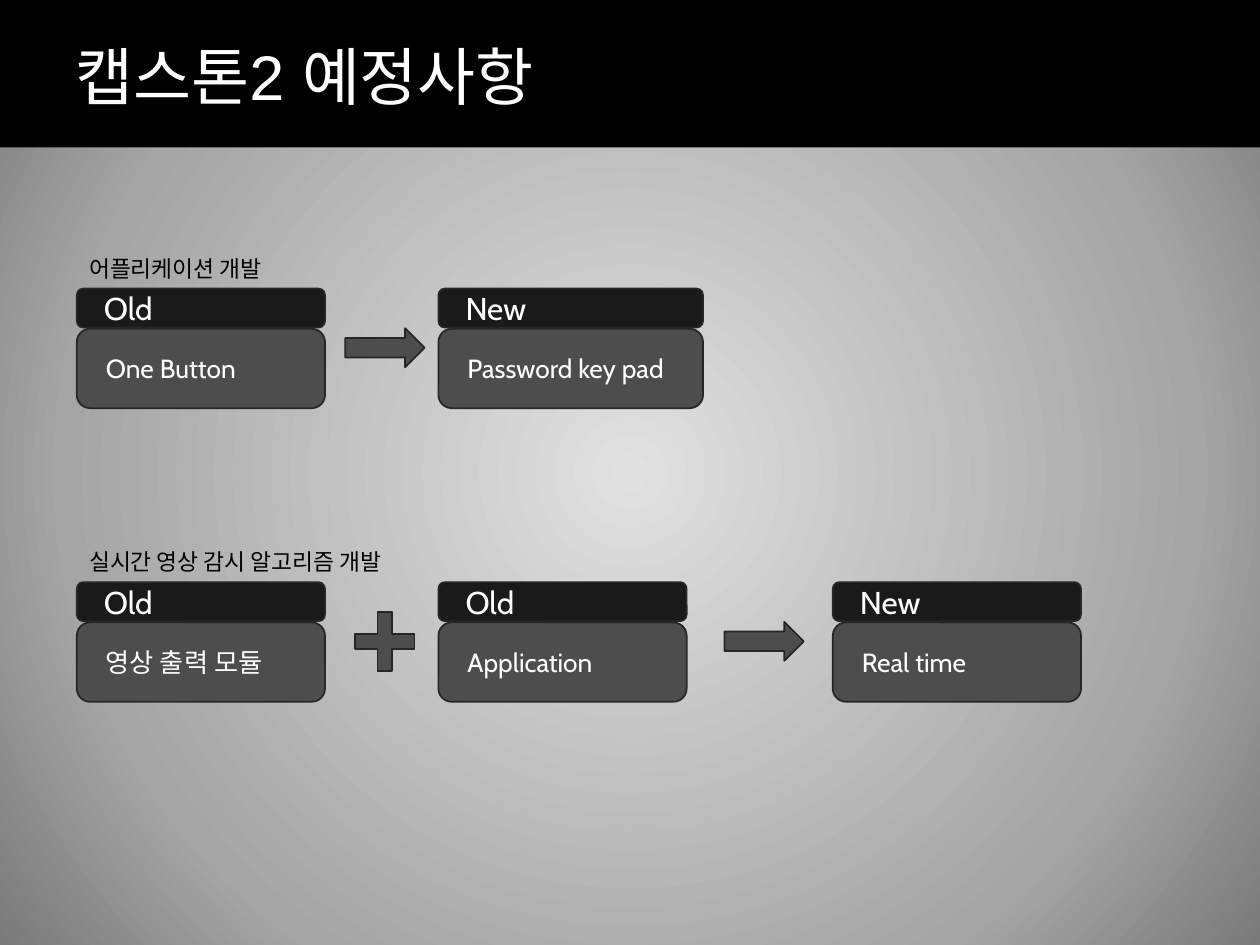
from typing import NamedTuple

from lxml.etree import SubElement
from pptx import Presentation
from pptx.dml.color import RGBColor
from pptx.enum.shapes import MSO_SHAPE as Shape
from pptx.enum.text import MSO_ANCHOR as Anchor, PP_ALIGN as Align
from pptx.oxml import parse_xml
from pptx.oxml.ns import nsdecls, qn
from pptx.util import Inches, Pt

COLORS = {
    "black": "000000",
    "white": "FFFFFF",
    "head": "1A1A1A",
    "body": "4D4D4D",
    "edge": "262626",
}
GLOW = [(0, "E1E1E1"), (72, "A5A5A5"), (100, "7A7A7A")]
KOREAN = "Noto Sans CJK KR"
LEFT = 0.61
HEAD_H, BODY_H = 0.31, 0.63
CAPTION_H = 0.32


class Card(NamedTuple):
    x: float
    head: str
    body: str
    w: float = 1.97


class Sign(NamedTuple):
    kind: Shape
    x: float
    w: float
    h: float


class Row(NamedTuple):
    y: float
    caption: str
    cards: list[Card]
    signs: list[Sign]


def arrow(x: float) -> Sign:
    return Sign(Shape.RIGHT_ARROW, x, 0.63, 0.31)


ROWS = [
    Row(2.29, "어플리케이션 개발",
        [Card(LEFT, "Old", "One Button"),
         Card(3.48, "New", "Password key pad", 2.1)],
        [arrow(2.74)]),
    Row(4.62, "실시간 영상 감시 알고리즘 개발",
        [Card(LEFT, "Old", "영상 출력 모듈"),
         Card(3.48, "Old", "Application"),
         Card(6.61, "New", "Real time")],
        [arrow(5.75), Sign(Shape.CROSS, 2.82, 0.47, 0.47)]),
]


def rgb(name: str) -> RGBColor:
    return RGBColor.from_string(COLORS[name])


def set_text(sp, text: str, size: float, font: str, color: str) -> None:
    tf = sp.text_frame
    tf.text = text
    tf.word_wrap = True
    p = tf.paragraphs[0]
    p.alignment = Align.LEFT
    r = p.runs[0]
    r.font.size = Pt(size)
    r.font.name = font
    r.font.color.rgb = rgb(color)
    SubElement(r.font._element, qn("a:ea"), typeface=KOREAN)


def add_shape(s, kind: Shape, x: float, y: float, w: float, h: float, fill: str):
    sp = s.shapes.add_shape(kind, Inches(x), Inches(y), Inches(w), Inches(h))
    sp.shadow.inherit = False
    sp.fill.solid()
    sp.fill.fore_color.rgb = rgb(fill)
    sp.line.color.rgb = rgb("edge")
    sp.line.width = Pt(1)
    return sp


def add_card(s, card: Card, y: float) -> None:
    parts = [(card.body, y + HEAD_H + 0.01, BODY_H, "body", 15),
             (card.head, y, HEAD_H, "head", 18)]
    for text, top, h, fill, size in parts:
        sp = add_shape(s, Shape.ROUNDED_RECTANGLE, card.x, top, card.w, h, fill)
        set_text(sp, text, size, "Cabin", "white")
        sp.text_frame.vertical_anchor = Anchor.MIDDLE
        sp.text_frame.margin_left = Inches(0.2)


def add_sign(s, sign: Sign, y: float) -> None:
    """Centre the sign vertically on its row of cards."""
    middle = y + (HEAD_H + BODY_H) / 2
    sp = add_shape(s, sign.kind, sign.x, middle - sign.h / 2, sign.w, sign.h, "body")
    if sign.kind == Shape.CROSS:
        sp.adjustments[0] = 0.375


def add_caption(s, text: str, y: float) -> None:
    sp = s.shapes.add_textbox(Inches(LEFT), Inches(y - CAPTION_H),
                              Inches(4.57), Inches(CAPTION_H))
    set_text(sp, text, 13, KOREAN, "black")


def set_background(s) -> None:
    """Fill the slide with a circular gradient."""
    s.background.fill.solid()
    bg = s.element.find(".//" + qn("p:bgPr"))
    stops = "".join(f'<a:gs pos="{pos * 1000}"><a:srgbClr val="{color}"/></a:gs>'
                    for pos, color in GLOW)
    gradient = parse_xml(
        f'<a:gradFill {nsdecls("a")} rotWithShape="1"><a:gsLst>{stops}</a:gsLst>'
        '<a:path path="circle"><a:fillToRect l="50000" t="50000" r="50000" b="50000"/>'
        '</a:path></a:gradFill>')
    bg.replace(bg.find(qn("a:solidFill")), gradient)


def add_title(s, text: str) -> None:
    band = add_shape(s, Shape.RECTANGLE, 0, 0, 10, 1.17, "black")
    band.line.fill.background()
    title = s.shapes.title
    title.element.addprevious(band.element)
    title.left, title.top = Inches(0.5), Inches(0.19)
    title.width, title.height = Inches(9), Inches(0.81)
    set_text(title, text, 36, "Arial", "white")
    title.text_frame.vertical_anchor = Anchor.MIDDLE


def main() -> None:
    prs = Presentation()
    prs.slide_width, prs.slide_height = Inches(10), Inches(7.5)
    s = prs.slides.add_slide(prs.slide_layouts[5])
    set_background(s)
    add_title(s, "캡스톤2 예정사항")
    for row in ROWS:
        for card in row.cards:
            add_card(s, card, row.y)
        for sign in row.signs:
            add_sign(s, sign, row.y)
        add_caption(s, row.caption, row.y)
    prs.save("out.pptx")


if __name__ == "__main__":
    main()
